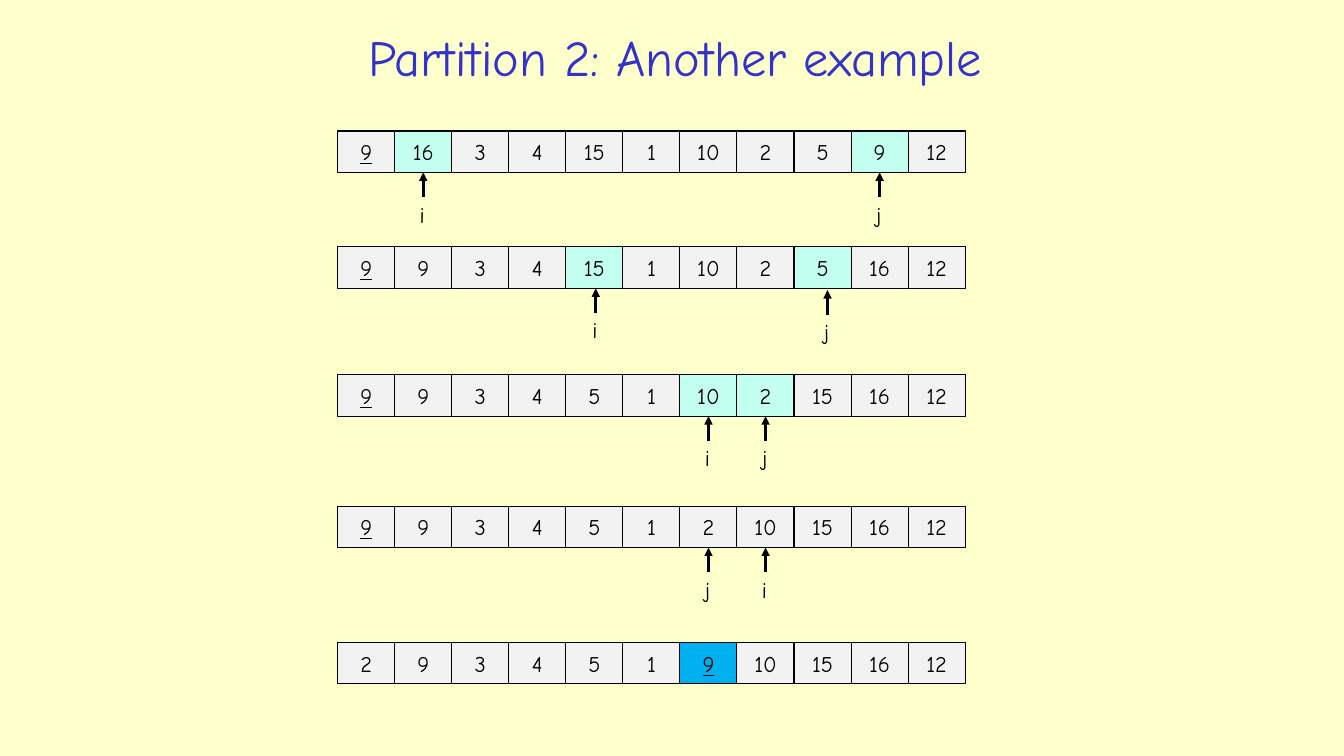
"""Build a slide that traces the second partition algorithm on an array."""
from lxml import etree
from pptx import Presentation
from pptx.dml.color import RGBColor
from pptx.enum.shapes import MSO_CONNECTOR, MSO_SHAPE
from pptx.enum.text import MSO_ANCHOR, MSO_AUTO_SIZE, PP_ALIGN
from pptx.oxml.ns import qn
from pptx.util import Pt

RECTANGLE = MSO_SHAPE.RECTANGLE
STRAIGHT = MSO_CONNECTOR.STRAIGHT
MIDDLE = MSO_ANCHOR.MIDDLE
GROW = MSO_AUTO_SIZE.SHAPE_TO_FIT_TEXT
LEFT, CENTER = PP_ALIGN.LEFT, PP_ALIGN.CENTER

TITLE = "Partition 2: Another example"
STEPS = [
    {"top": 93.6, "values": [9, 16, 3, 4, 15, 1, 10, 2, 5, 9, 12],
     "pivot": 0, "swap": (1, 9), "pointers": [("i", 1, 0, 0), ("j", 9, 0, 0)]},
    {"top": 176.4, "values": [9, 9, 3, 4, 15, 1, 10, 2, 5, 16, 12],
     "pivot": 0, "swap": (4, 8), "pointers": [("i", 4, 1, 0), ("j", 8, 3.5, 1.2)]},
    {"top": 267.7, "values": [9, 9, 3, 4, 5, 1, 10, 2, 15, 16, 12],
     "pivot": 0, "swap": (6, 7), "pointers": [("i", 6, 0, 0), ("j", 7, 0, 0)]},
    {"top": 361.5, "values": [9, 9, 3, 4, 5, 1, 2, 10, 15, 16, 12],
     "pivot": 0, "swap": (), "pointers": [("j", 6, 0, 0), ("i", 7, 0, 0)]},
    {"top": 459, "values": [2, 9, 3, 4, 5, 1, 9, 10, 15, 16, 12],
     "pivot": 6, "swap": (), "pointers": []},
]
COLORS = {"page": "FFFFCC", "title": "3333CC", "ink": "000000",
          "cell": "F2F2F2", "swap": "C2FFF0", "placed": "00B0F0"}
ROW_LEFT, CELL_WIDTH, CELL_HEIGHT = 241.2, 40.75, 29.6
ARROW_LENGTH, LABEL_OFFSET, LABEL_HEIGHT = 17.8, 16.6, 26.6
LABEL_INDENT = 9.6
LABEL_WIDTHS = {"i": 19.4, "j": 20.9}


def color(name):
    return RGBColor.from_string(COLORS[name])


def write(box, text, frame_format, align=CENTER, ink="ink", **font_format):
    frame = box.text_frame
    for name, value in frame_format.items():
        setattr(frame, name, value)
    para = frame.paragraphs[0]
    para.alignment = align
    span = para.add_run()
    span.text = text
    for name, value in {"name": "Comic Neue", "size": Pt(16), **font_format}.items():
        setattr(span.font, name, value)
    span.font.color.rgb = color(ink)


def add_cell(page, left, top, value, fill, is_pivot):
    cell = page.shapes.add_shape(RECTANGLE, Pt(left), Pt(top), Pt(CELL_WIDTH), Pt(CELL_HEIGHT))
    cell.shadow.inherit = False
    cell.fill.solid()
    cell.fill.fore_color.rgb = color(fill)
    cell.line.color.rgb = color("ink")
    cell.line.width = Pt(0.75)
    write(cell, str(value), {"vertical_anchor": MIDDLE}, underline=is_pivot)


def add_pointer(page, name, x, tip):
    arrow = page.shapes.add_connector(STRAIGHT, Pt(x), Pt(tip + ARROW_LENGTH), Pt(x), Pt(tip))
    arrow.line.color.rgb = color("ink")
    arrow.line.width = Pt(2)
    etree.SubElement(arrow.line._get_or_add_ln(), qn("a:tailEnd"), type="triangle")
    etree.SubElement(arrow._element.spPr, qn("a:effectLst"))
    label = page.shapes.add_textbox(Pt(x - LABEL_INDENT), Pt(tip + LABEL_OFFSET),
                                    Pt(LABEL_WIDTHS[name]), Pt(LABEL_HEIGHT))
    write(label, name, {"word_wrap": False, "auto_size": GROW}, LEFT)


def add_step(page, step):
    top = step["top"]
    for column, value in enumerate(step["values"]):
        is_pivot = column == step["pivot"]
        fill = "swap" if column in step["swap"] else "cell"
        if is_pivot and column > 0:
            fill = "placed"
        add_cell(page, ROW_LEFT + column * CELL_WIDTH, top, value, fill, is_pivot)
    for name, column, shift, drop in step["pointers"]:
        x = ROW_LEFT + (column + 0.5) * CELL_WIDTH + shift
        add_pointer(page, name, x, top + CELL_HEIGHT + drop)


def main():
    deck = Presentation()
    deck.slide_width, deck.slide_height = Pt(960), Pt(540)
    page = deck.slides.add_slide(deck.slide_layouts[5])
    page.background.fill.solid()
    page.background.fill.fore_color.rgb = color("page")
    title = page.shapes.title
    title.left, title.top, title.width, title.height = Pt(139), Pt(13), Pt(687), Pt(54.7)
    write(title, TITLE, {"vertical_anchor": MIDDLE}, ink="title", size=Pt(36))
    for step in STEPS:
        add_step(page, step)
    deck.save("out.pptx")


if __name__ == "__main__":
    main()
